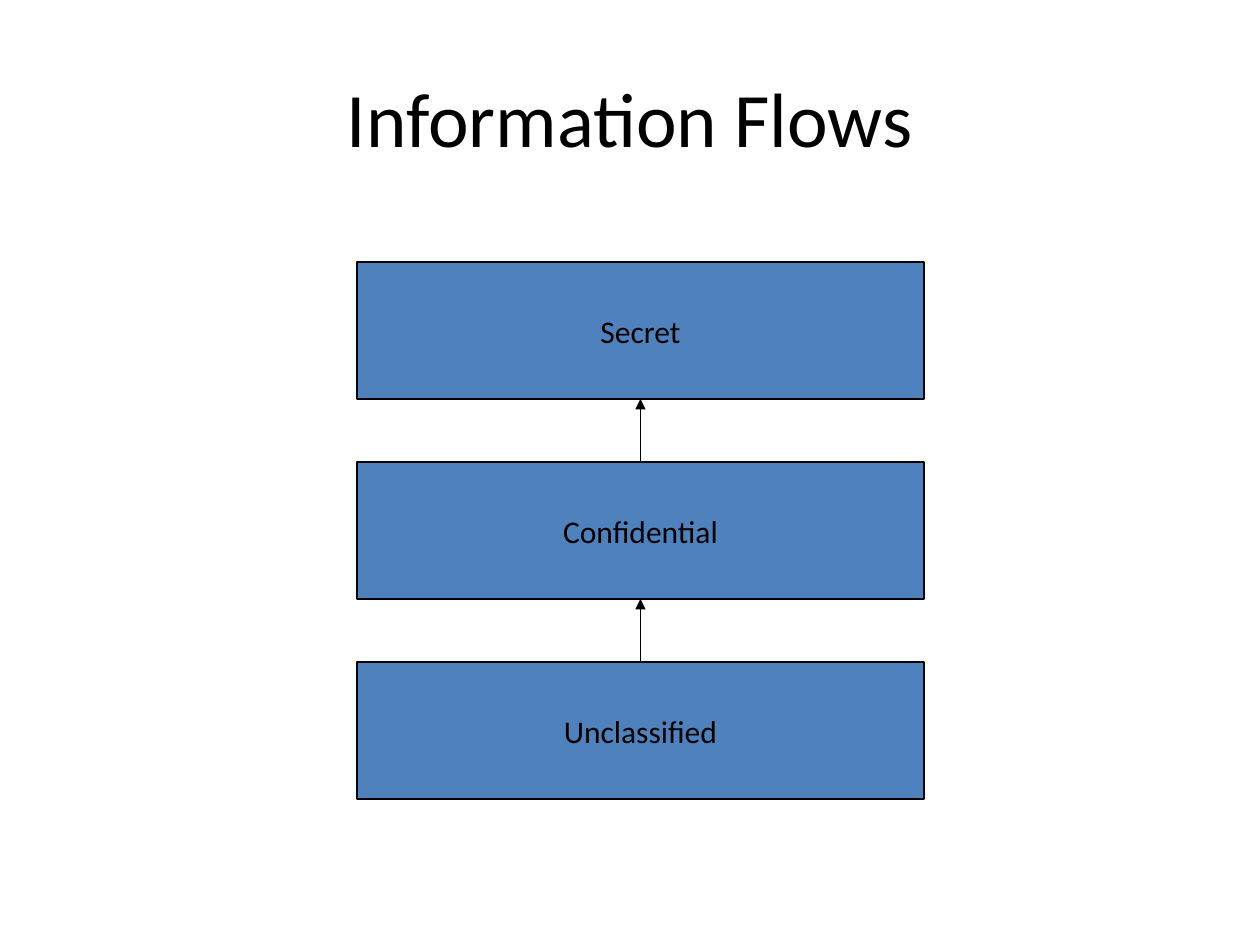
from lxml import etree
from pptx import Presentation
from pptx.dml.color import RGBColor
from pptx.enum.shapes import MSO_CONNECTOR, MSO_SHAPE
from pptx.enum.text import MSO_ANCHOR, PP_ALIGN
from pptx.oxml.ns import qn
from pptx.util import Inches, Pt

BLACK = RGBColor(0x00, 0x00, 0x00)
BLUE = RGBColor(0x4F, 0x81, 0xBD)
FONT = "Calibri"


def px(n):
    return Inches(n / 126)


def set_text(tf, text, size):
    tf.text = text
    tf.vertical_anchor = MSO_ANCHOR.MIDDLE
    p = tf.paragraphs[0]
    p.alignment = PP_ALIGN.CENTER
    p.font.name = FONT
    p.font.size = Pt(size)
    p.font.color.rgb = BLACK


prs = Presentation()
prs.slide_width, prs.slide_height = px(1260), px(945)
s = prs.slides.add_slide(prs.slide_layouts[5])

# Title
title = s.shapes.title
title.left, title.top, title.width, title.height = px(63), px(38), px(1134), px(157)
set_text(title.text_frame, "Information Flows", 44)

# Security levels, highest first
LEFT, TOP, WIDTH, HEIGHT, PITCH = 357, 262, 567, 137, 200
boxes = []
for i, level in enumerate(["Secret", "Confidential", "Unclassified"]):
    sp = s.shapes.add_shape(MSO_SHAPE.RECTANGLE, px(LEFT), px(TOP + i * PITCH),
                            px(WIDTH), px(HEIGHT))
    sp.shadow.inherit = False
    sp.fill.solid()
    sp.fill.fore_color.rgb = BLUE
    sp.line.color.rgb = BLACK
    sp.line.width = Pt(0.75)
    sp.text_frame.word_wrap = False
    set_text(sp.text_frame, level, 18)
    boxes.append(sp)

# Allowed flows, from each level up to the next
for upper, lower in zip(boxes, boxes[1:]):
    flow = s.shapes.add_connector(MSO_CONNECTOR.STRAIGHT, 0, 0, 0, 0)
    flow.begin_connect(lower, 0)
    flow.end_connect(upper, 2)
    flow.line.color.rgb = BLACK
    flow.line.width = Pt(0.75)
    etree.SubElement(flow.line._get_or_add_ln(), qn("a:tailEnd"), type="triangle")
    etree.SubElement(flow._element.spPr, qn("a:effectLst"))

prs.save("out.pptx")
